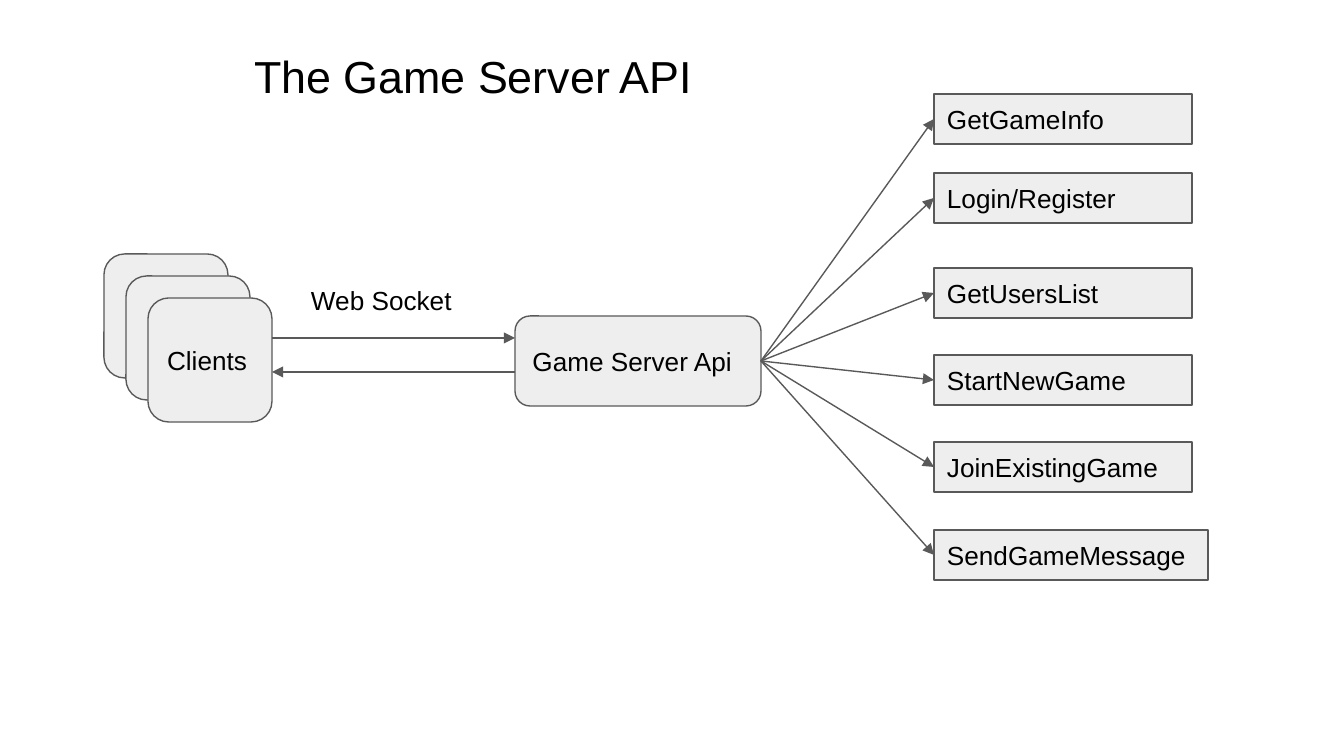
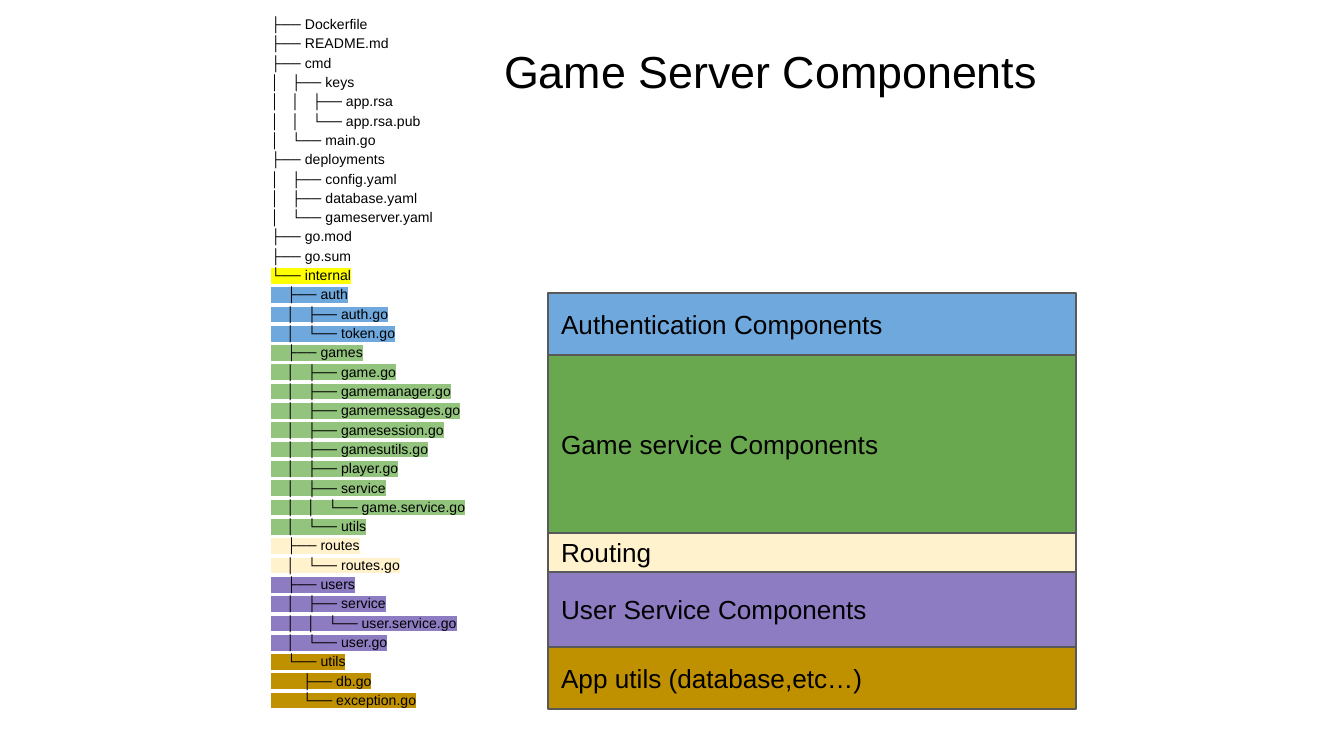
from itertools import accumulate

from pptx import Presentation
from pptx.dml.color import RGBColor
from pptx.enum.shapes import MSO_CONNECTOR, MSO_SHAPE
from pptx.enum.text import MSO_ANCHOR, MSO_AUTO_SIZE, PP_ALIGN
from pptx.oxml.ns import qn
from pptx.util import Pt
from lxml.etree import SubElement

SLIDE_W, SLIDE_H = 1344, 756
SCALE = 9144000 / SLIDE_W
FONT = "Arial"
INSET = 13
TITLE_H = 83
BLACK = RGBColor(0x00, 0x00, 0x00)
OUTLINE = RGBColor(0x59, 0x59, 0x59)
LIGHT_GRAY = RGBColor(0xEE, 0xEE, 0xEE)
YELLOW = RGBColor(0xFF, 0xFF, 0x00)
BLUE = RGBColor(0x6F, 0xA8, 0xDC)
LIGHT_GREEN = RGBColor(0x93, 0xC4, 0x7D)
GREEN = RGBColor(0x6A, 0xA8, 0x4F)
CREAM = RGBColor(0xFF, 0xF2, 0xCC)
PURPLE = RGBColor(0x8E, 0x7C, 0xC3)
GOLD = RGBColor(0xBF, 0x90, 0x00)

API_TITLE = "The Game Server API"
SERVER = "Game Server Api"
CLIENT_STACK = ["", "", "Clients"]
PROTOCOL = "Web Socket"
ENDPOINTS = [
    ("GetGameInfo", 94, 258),
    ("Login/Register", 173, 258),
    ("GetUsersList", 268, 258),
    ("StartNewGame", 355, 258),
    ("JoinExistingGame", 442, 258),
    ("SendGameMessage", 530, 274),
]

COMPONENTS_TITLE = "Game Server Components"
FILE_TREE = [
    (None, [
        "├── Dockerfile",
        "├── README.md",
        "├── cmd",
        "│   ├── keys",
        "│   │   ├── app.rsa",
        "│   │   └── app.rsa.pub",
        "│   └── main.go",
        "├── deployments",
        "│   ├── config.yaml",
        "│   ├── database.yaml",
        "│   └── gameserver.yaml",
        "├── go.mod",
        "├── go.sum",
    ]),
    (YELLOW, ["└── internal"]),
    (BLUE, [
        "    ├── auth",
        "    │   ├── auth.go",
        "    │   └── token.go",
    ]),
    (LIGHT_GREEN, [
        "    ├── games",
        "    │   ├── game.go",
        "    │   ├── gamemanager.go",
        "    │   ├── gamemessages.go",
        "    │   ├── gamesession.go",
        "    │   ├── gamesutils.go",
        "    │   ├── player.go",
        "    │   ├── service",
        "    │   │   └── game.service.go",
        "    │   └── utils",
    ]),
    (CREAM, [
        "    ├── routes",
        "    │   └── routes.go",
    ]),
    (PURPLE, [
        "    ├── users",
        "    │   ├── service",
        "    │   │   └── user.service.go",
        "    │   └── user.go",
    ]),
    (GOLD, [
        "    └── utils",
        "        ├── db.go",
        "        └── exception.go",
    ]),
]
COMPONENTS = [
    ("Authentication Components", BLUE, 62),
    ("Game service Components", GREEN, 178),
    ("Routing", CREAM, 39),
    ("User Service Components", PURPLE, 75),
    ("App utils (database,etc…)", GOLD, 62),
]


def px(*lengths):
    return [round(length * SCALE) for length in lengths]


def set_up_frame(frame, anchor):
    frame.word_wrap = True
    frame.auto_size = MSO_AUTO_SIZE.NONE
    frame.vertical_anchor = anchor
    (inset,) = px(INSET)
    frame.margin_left = frame.margin_right = inset
    frame.margin_top = frame.margin_bottom = inset


def style(paragraph, size):
    paragraph.alignment = PP_ALIGN.LEFT
    paragraph.font.name = FONT
    paragraph.font.size = Pt(size)
    paragraph.font.color.rgb = BLACK


def add_titled_slide(prs, text, left, top, width):
    slide = prs.slides.add_slide(prs.slide_layouts[5])
    title = slide.shapes.title
    title.left, title.top, title.width, title.height = px(left, top, width, TITLE_H)
    set_up_frame(title.text_frame, MSO_ANCHOR.TOP)
    title.text_frame.text = text
    style(title.text_frame.paragraphs[0], 24)
    return slide


def add_box(slide, text, bounds, fill=LIGHT_GRAY, preset=MSO_SHAPE.RECTANGLE):
    box = slide.shapes.add_shape(preset, *px(*bounds))
    box.shadow.inherit = False
    box.fill.solid()
    box.fill.fore_color.rgb = fill
    box.line.color.rgb = OUTLINE
    box.line.width = Pt(0.75)
    if text:
        set_up_frame(box.text_frame, MSO_ANCHOR.MIDDLE)
        box.text_frame.text = text
        style(box.text_frame.paragraphs[0], 14)
    return box


def add_text(slide, bounds):
    frame = slide.shapes.add_textbox(*px(*bounds)).text_frame
    set_up_frame(frame, MSO_ANCHOR.TOP)
    return frame


def add_arrow(slide, start, end):
    arrow = slide.shapes.add_connector(MSO_CONNECTOR.STRAIGHT, *px(*start, *end))
    arrow.line.color.rgb = OUTLINE
    arrow.line.width = Pt(0.75)
    properties = arrow.element.spPr
    SubElement(properties.find(qn("a:ln")), qn("a:tailEnd"), type="triangle")
    SubElement(properties, qn("a:effectLst"))
    return arrow


def highlight(run, color):
    mark = SubElement(run._r.get_or_add_rPr(), qn("a:highlight"))
    SubElement(mark, qn("a:srgbClr"), val=str(color))


def build_api(prs):
    slide = add_titled_slide(prs, API_TITLE, 241, 36, 710)
    server = add_box(slide, SERVER, (515, 316, 246, 90),
                     preset=MSO_SHAPE.ROUNDED_RECTANGLE)
    for i, client in enumerate(CLIENT_STACK):
        add_box(slide, client, (104 + 22 * i, 254 + 22 * i, 124, 124),
                preset=MSO_SHAPE.ROUNDED_RECTANGLE)

    add_arrow(slide, (272, 338), (515, 338))
    add_arrow(slide, (515, 372), (272, 372))
    protocol = add_text(slide, (298, 271, 187, 50))
    protocol.text = PROTOCOL
    style(protocol.paragraphs[0], 14)

    for name, top, width in ENDPOINTS:
        endpoint = add_box(slide, name, (934, top, width, 50))
        call = add_arrow(slide, (761, 361), (934, top + 25))
        call.begin_connect(server, 3)
        call.end_connect(endpoint, 1)


def build_components(prs):
    slide = add_titled_slide(prs, COMPONENTS_TITLE, 491, 31, 689)
    tree = add_text(slide, (258, 0, 316, 749))
    lines = [(line, color) for color, group in FILE_TREE for line in group]
    for i, (line, color) in enumerate(lines):
        entry = tree.add_paragraph() if i else tree.paragraphs[0]
        entry.line_spacing = 1.15
        style(entry, 7.5)
        run = entry.add_run()
        run.text = line
        if color is not None:
            highlight(run, color)

    tops = accumulate((height for _, _, height in COMPONENTS), initial=293)
    for (name, fill, height), top in zip(COMPONENTS, tops):
        add_box(slide, name, (548, top, 528, height), fill)


def main():
    prs = Presentation()
    prs.slide_width, prs.slide_height = px(SLIDE_W, SLIDE_H)
    build_api(prs)
    build_components(prs)
    prs.save("out.pptx")


if __name__ == "__main__":
    main()
